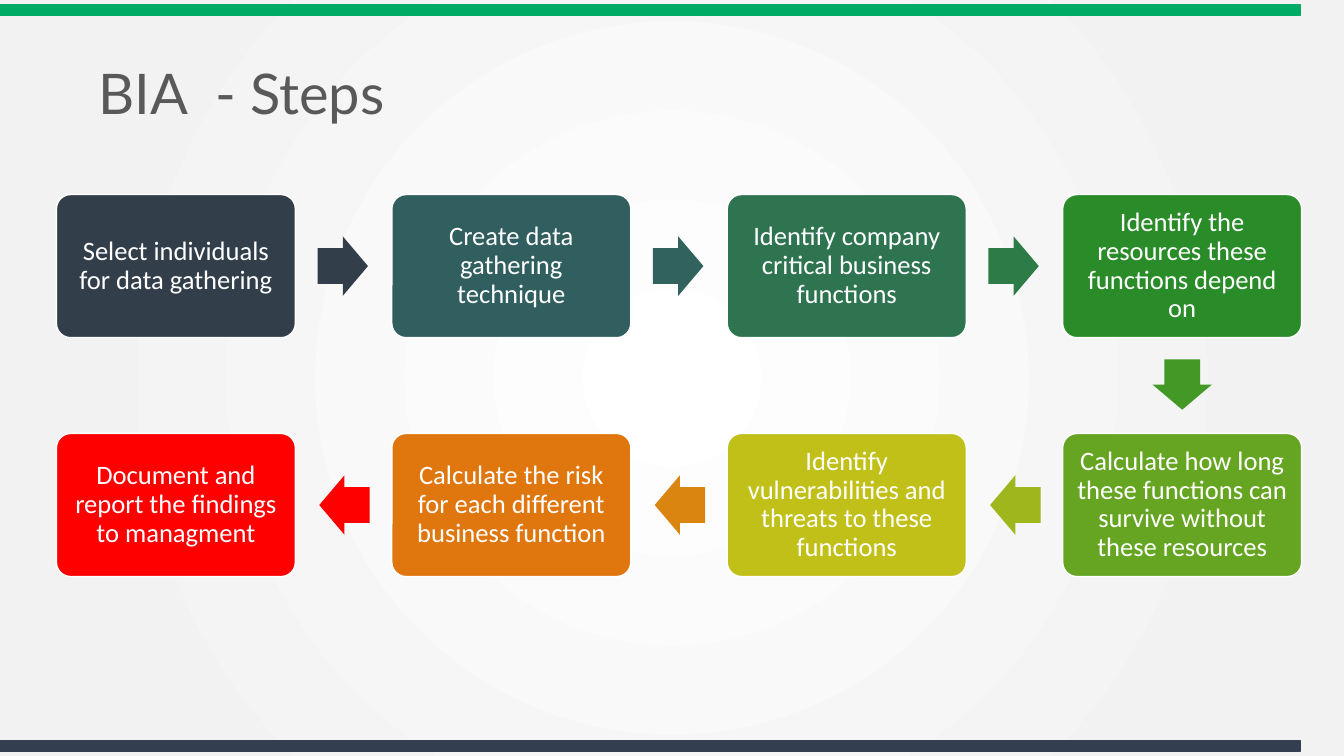
import pptx
import pptx.util
import pptx.dml.color
import pptx.enum.shapes
import pptx.enum.text
import pptx.oxml
import pptx.oxml.ns

Inches = pptx.util.Inches
Pt = pptx.util.Pt
MSO_SHAPE = pptx.enum.shapes.MSO_SHAPE
PP_ALIGN = pptx.enum.text.PP_ALIGN
MSO_ANCHOR = pptx.enum.text.MSO_ANCHOR

COLORS = {
    "top": "00AC65", "bottom": "333F50", "title": "595959",
    "white": "FFFFFF", "edge": "F2F2F2",
    "select": "323F4B", "create": "315E5E", "critical": "2E7450",
    "resources": "2A8B29", "survive": "65A522", "threats": "C1C019",
    "risk": "DF760E", "report": "FF0000",
    "to_create": "31625D", "to_critical": "2D7B46", "to_survive": "449826",
    "to_threats": "9FB71C", "to_risk": "DA8510",
}

STEPS = [
    ("Select individuals for data gathering", "select", "select"),
    ("Create data gathering technique", "create", "to_create"),
    ("Identify company critical business functions", "critical", "to_critical"),
    ("Identify the resources these functions depend on", "resources", "to_survive"),
    ("Calculate how long these functions can survive without these resources",
     "survive", "to_threats"),
    ("Identify vulnerabilities and threats to these functions", "threats", "to_risk"),
    ("Calculate the risk for each different business function", "risk", "report"),
    ("Document and report the findings to managment", "report", None),
]

COLS = 4
BOX_W, BOX_H = 2.37, 1.42
ARROW_W, ARROW_H = 0.5, 0.59
FIRST_X, LAST_X = 0.56, 10.54
PITCH = (LAST_X - FIRST_X) / (COLS - 1)
ROW_Y = (1.93, 4.3)


def rgb(name):
    return pptx.dml.color.RGBColor.from_string(COLORS[name])


def set_background(s):
    s.background.fill.gradient()
    grad = s.element.find(".//" + pptx.oxml.ns.qn("a:gradFill"))
    for child in list(grad):
        grad.remove(child)
    stops = "".join(
        f'<a:gs pos="{pos}"><a:srgbClr val="{COLORS[name]}"/></a:gs>'
        for pos, name in ((0, "white"), (81000, "edge"), (100000, "edge")))
    ns = pptx.oxml.ns.nsdecls("a")
    grad.append(pptx.oxml.parse_xml(f"<a:gsLst {ns}>{stops}</a:gsLst>"))
    grad.append(pptx.oxml.parse_xml(
        f'<a:path {ns} path="circle">'
        '<a:fillToRect l="50000" t="50000" r="50000" b="50000"/></a:path>'))


def add_block(s, kind, x, y, w, h, fill, line=None, adjustments=()):
    sp = s.shapes.add_shape(kind, Inches(x), Inches(y), Inches(w), Inches(h))
    sp.shadow.inherit = False
    sp.fill.solid()
    sp.fill.fore_color.rgb = rgb(fill)
    if line:
        sp.line.color.rgb = rgb(line)
        sp.line.width = Pt(1)
    else:
        sp.line.fill.background()
    for i, value in enumerate(adjustments):
        sp.adjustments[i] = value
    return sp


def write_text(sp, text, font, size, color, align):
    tf = sp.text_frame
    tf.word_wrap = True
    tf.vertical_anchor = MSO_ANCHOR.MIDDLE
    p = tf.paragraphs[0]
    p.alignment = align
    p.line_spacing = 0.9
    r = p.add_run()
    r.text = text
    r.font.name = font
    r.font.size = Pt(size)
    r.font.color.rgb = rgb(color)
    return tf


def add_title(s, text):
    sp = s.shapes.add_textbox(Inches(0.88), Inches(0.56), Inches(11.7), Inches(0.8))
    write_text(sp, text, "Lato", 40, "title", PP_ALIGN.LEFT)


def add_step(s, x, y, text, fill):
    sp = add_block(s, MSO_SHAPE.ROUNDED_RECTANGLE, x, y, BOX_W, BOX_H,
                   fill, "white", (0.1,))
    tf = write_text(sp, text, "Calibri", 19, "white", PP_ALIGN.CENTER)
    tf.margin_left = tf.margin_right = Inches(0.08)
    tf.margin_top = tf.margin_bottom = Inches(0.08)


def add_arrow(s, x, y, fill, rotation):
    sp = add_block(s, MSO_SHAPE.RIGHT_ARROW, x, y, ARROW_W, ARROW_H,
                   fill, adjustments=(0.6, 0.5))
    sp.rotation = rotation


def add_flow(s):
    for i, (text, fill, arrow) in enumerate(STEPS):
        row, col = divmod(i, COLS)
        if row:
            col = COLS - 1 - col
        x, y = FIRST_X + col * PITCH, ROW_Y[row]
        add_step(s, x, y, text, fill)
        if arrow is None:
            continue
        middle_y = y + (BOX_H - ARROW_H) / 2
        if row:
            add_arrow(s, x - 0.72, middle_y, arrow, 180)
        elif col == COLS - 1:
            add_arrow(s, x + (BOX_W - ARROW_W) / 2, 3.52, arrow, 90)
        else:
            add_arrow(s, x + 2.59, middle_y, arrow, 0)


def main():
    prs = pptx.Presentation()
    prs.slide_width, prs.slide_height = Inches(13.33), Inches(7.5)
    s = prs.slides.add_slide(prs.slide_layouts[6])
    set_background(s)
    for y, color in ((0.05, "top"), (7.35, "bottom")):
        add_block(s, MSO_SHAPE.RECTANGLE, 0, y, 12.9, 0.1, color, color)
    add_title(s, "BIA  - Steps")
    add_flow(s)
    prs.save("out.pptx")


if __name__ == "__main__":
    main()
